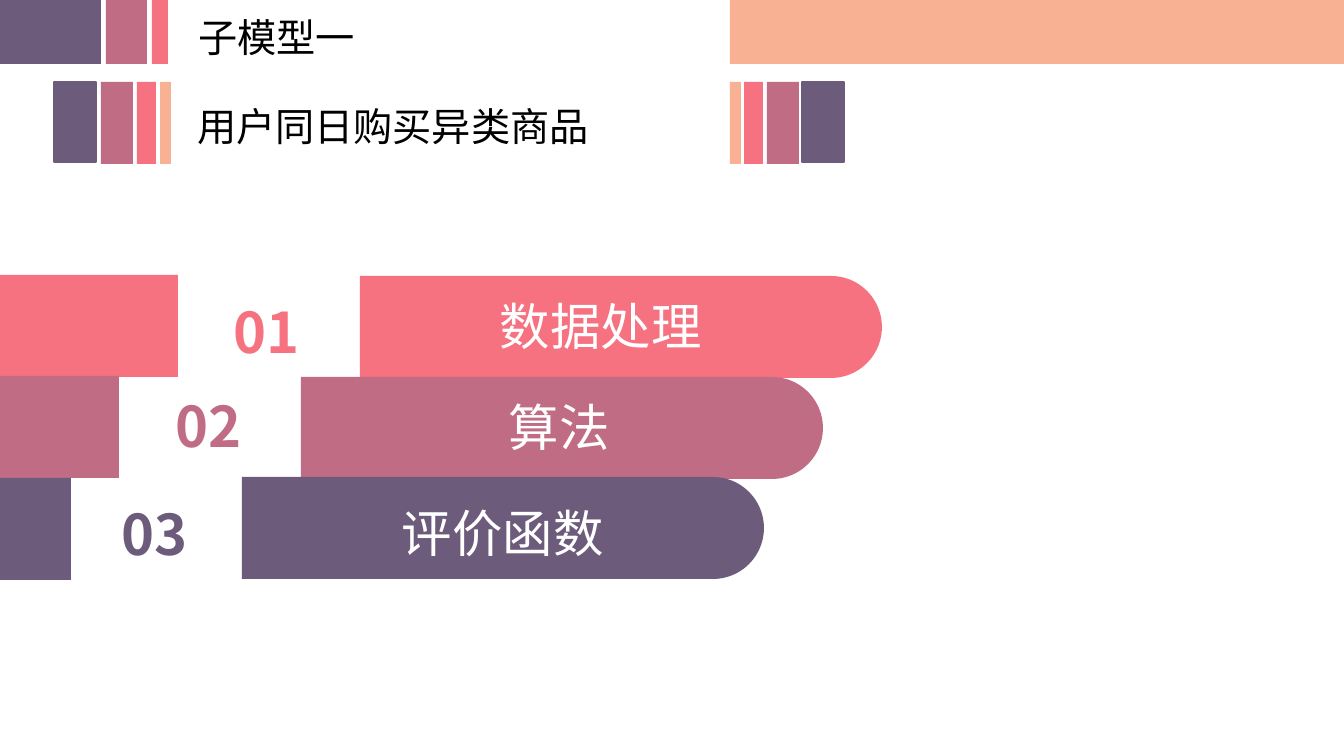
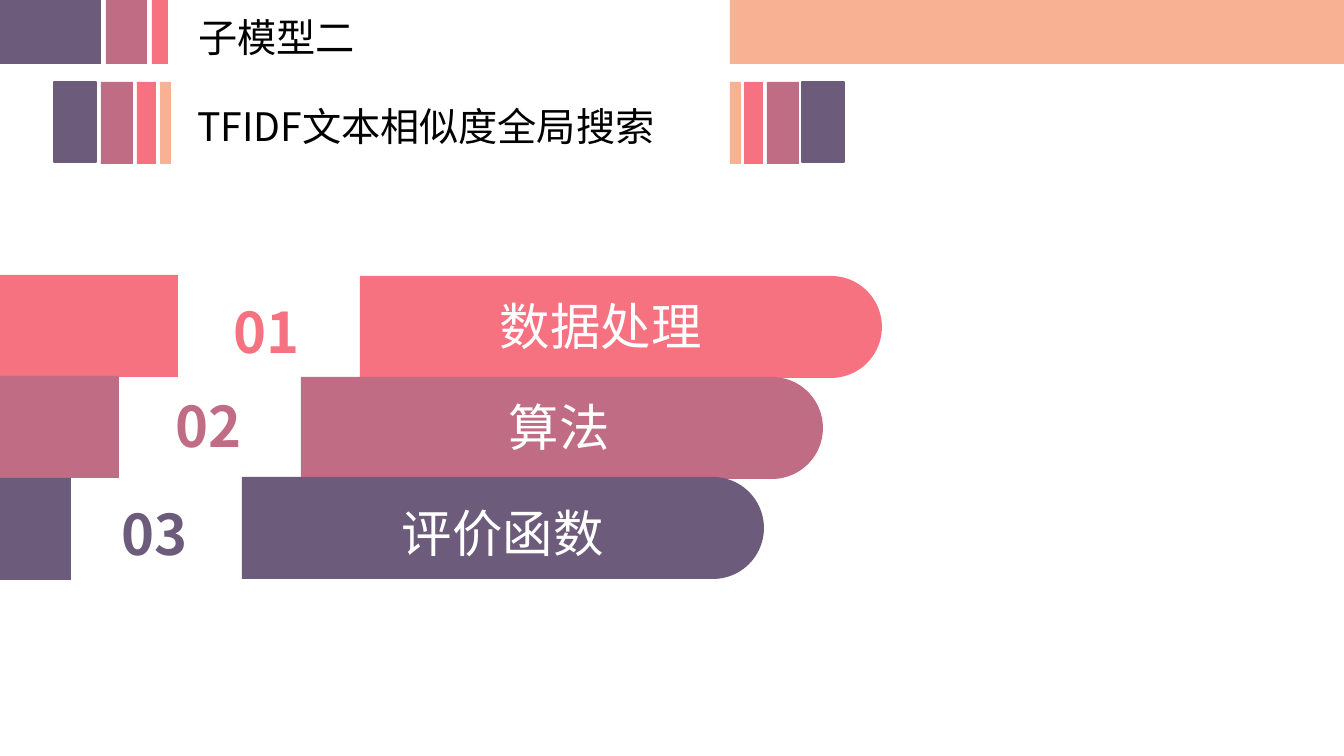
from lxml.etree import SubElement
from pptx import Presentation
from pptx.dml.color import RGBColor
from pptx.enum.shapes import MSO_SHAPE as Preset
from pptx.enum.text import MSO_ANCHOR as Anchor, MSO_AUTO_SIZE as AutoSize, PP_ALIGN as Align
from pptx.oxml.ns import qn
from pptx.util import Emu, Pt

EMU_PER_PX = 914400 / 100.8
WIDTH, HEIGHT = 1344, 756

FONT = "Noto Sans CJK SC"
PURPLE, MAUVE, PINK, PEACH = "6C5B7B", "C06C84", "F67280", "F8B193"
BLACK, WHITE = "000000", "FFFFFF"

# colour, left, width
TOP_BANDS = ((PEACH, 730, 614), (PURPLE, 0, 101), (MAUVE, 106, 41), (PINK, 152, 16))
BAND_HEIGHT = 64

# colour, left of the heading, right of the heading, width, height
STRIPES = (
    (PURPLE, 54, 802, 42, 80),
    (PEACH, 160, 730, 11, 82),
    (PINK, 137, 744, 19, 82),
    (MAUVE, 101, 767, 32, 82),
)
STRIPE_TOP = 82

# number, label, colour, tab (top, width), bar (left, top), number and label (left, top)
STEPS = (
    ("01", "数据处理", PINK, (275, 178), (360, 276), (224, 293), (490, 290)),
    ("02", "算法", MAUVE, (376, 119), (301, 377), (166, 387), (499, 391)),
    ("03", "评价函数", PURPLE, (478, 71), (242, 477), (112, 495), (392, 497)),
)
BAR_WIDTH, STEP_HEIGHT = 522, 102

SUBMODELS = (
    ("子模型一", "用户同日购买异类商品", 416),
    ("子模型二", "TFIDF文本相似度全局搜索", 483),
)


def px(length):
    return Emu(round(length * EMU_PER_PX))


def rgb(hex_text):
    return RGBColor.from_string(hex_text)


def bend_to_quarter_arc(segment, radius, start_degrees):
    """Turn a straight outline segment into a clockwise quarter circle."""
    segment.clear()
    arc = SubElement(segment.getparent(), qn("a:arcTo"), wR=str(radius), hR=str(radius),
                     stAng=str(start_degrees * 60000), swAng=str(90 * 60000))
    segment.getparent().replace(segment, arc)


class Deck:
    """Holds the presentation, its style and the slide being filled."""

    def __init__(self):
        self.presentation = Presentation()
        self.presentation.slide_width = px(WIDTH)
        self.presentation.slide_height = px(HEIGHT)
        self.slide = None

    def new_slide(self):
        layout = self.presentation.slide_layouts[0]
        self.slide = self.presentation.slides.add_slide(layout)

    def paint(self, shape, color, outline=False):
        shape.shadow.inherit = False
        shape.fill.solid()
        shape.fill.fore_color.rgb = rgb(color)
        if outline:
            shape.line.color.rgb = rgb(color)
            shape.line.width = Pt(1)
        else:
            shape.line.fill.background()

    def block(self, color, left, top, width, height, *, group=None, outline=False):
        shapes = group.shapes if group else self.slide.shapes
        rectangle = shapes.add_shape(
            Preset.RECTANGLE, px(left), px(top), px(width), px(height))
        self.paint(rectangle, color, outline)

    def round_ended_bar(self, color, left, top, width, height):
        radius = height // 2
        right, bottom = left + width, top + height
        corners = ((right - radius, top), (right, top + radius),
                   (right - radius, bottom), (left, bottom))
        outline = self.slide.shapes.build_freeform(px(left), px(top))
        outline.add_line_segments([(px(x), px(y)) for x, y in corners], close=True)
        bar = outline.convert_to_shape()
        segments = list(bar._element.iter(qn("a:lnTo")))
        bend_to_quarter_arc(segments[1], px(radius), 270)
        bend_to_quarter_arc(segments[2], px(radius), 0)
        self.paint(bar, color)

    def text(self, content, left, top, width, height, *, size, color=BLACK,
             bold=False, holder=None):
        """Write into the given placeholder, or into a new text box."""
        box = (px(left), px(top), px(width), px(height))
        if holder is None:
            holder = self.slide.shapes.add_textbox(*box)
        else:
            holder.left, holder.top, holder.width, holder.height = box
        frame = holder.text_frame
        frame.word_wrap = True
        frame.auto_size = AutoSize.SHAPE_TO_FIT_TEXT
        frame.vertical_anchor = Anchor.TOP
        paragraph = frame.paragraphs[0]
        paragraph.alignment = Align.LEFT
        paragraph.space_before = Pt(0)
        run = paragraph.add_run()
        run.text = content
        run.font.size = Pt(size)
        run.font.bold = bold
        run.font.color.rgb = rgb(color)
        run.font.name = FONT
        SubElement(run._r.get_or_add_rPr(), qn("a:ea"), typeface=FONT)

    def header(self, title, subtitle, subtitle_width):
        for color, left, width in TOP_BANDS:
            self.block(color, left, 0, width, BAND_HEIGHT)
        for side in (0, 1):
            group = self.slide.shapes.add_group_shape()
            for color, *lefts, width, height in STRIPES:
                self.block(color, lefts[side], STRIPE_TOP, width, height,
                           group=group, outline=color == PURPLE)
        title_holder, subtitle_holder = self.slide.placeholders
        self.text(title, 188, 8, 178, 57, size=28, holder=title_holder)
        self.text(subtitle, 187, 97, subtitle_width, 57, size=28, holder=subtitle_holder)

    def step(self, number, label, color, tab, bar, number_at, label_at):
        tab_top, tab_width = tab
        self.block(color, 0, tab_top, tab_width, STEP_HEIGHT)
        self.round_ended_bar(color, *bar, BAR_WIDTH, STEP_HEIGHT)
        self.text(number, *number_at, 90, 78, size=40, color=color, bold=True)
        self.text(label, *label_at, 224, 72, size=36, color=WHITE)


def main():
    deck = Deck()
    for submodel in SUBMODELS:
        deck.new_slide()
        deck.header(*submodel)
        for step in STEPS:
            deck.step(*step)
    deck.presentation.save("out.pptx")


if __name__ == "__main__":
    main()
